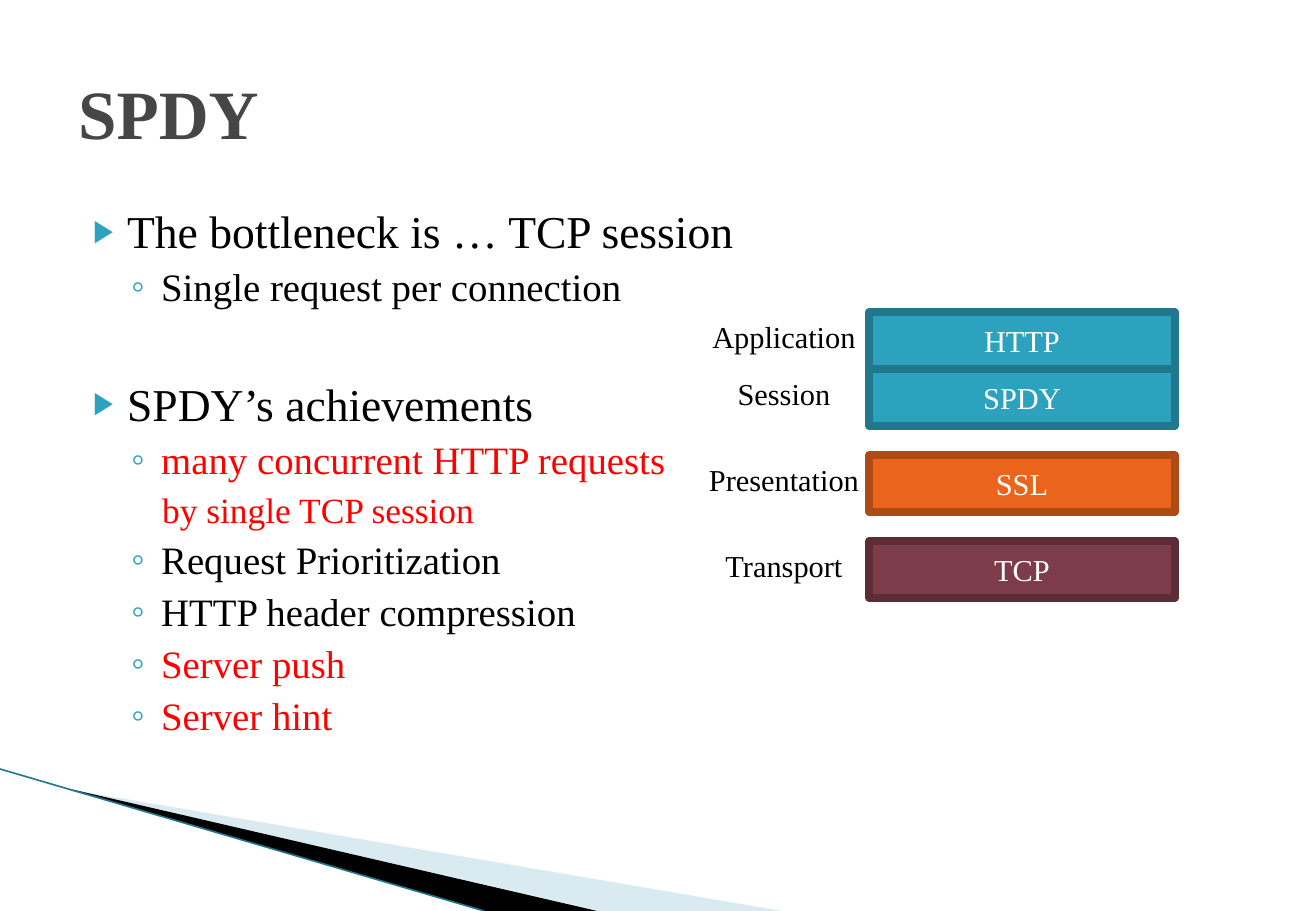
from lxml.etree import SubElement
from pptx import Presentation
from pptx.dml.color import RGBColor
from pptx.enum.shapes import MSO_CONNECTOR, MSO_SHAPE
from pptx.enum.text import MSO_ANCHOR, MSO_AUTO_SIZE, PP_ALIGN
from pptx.oxml.ns import qn
from pptx.util import Pt

PX = 7526  # EMU
FONT = "Times New Roman"
COLORS = {
    "title": "464646", "text": "000000", "accent": "FF0000", "white": "FFFFFF",
    "teal": "2DA2BF", "teal edge": "21788D",
    "orange": "EB641B", "orange edge": "AE4A14",
    "plum": "7D3C4A", "plum edge": "5C2C37",
    "pale": "A0CBDC", "black": "000000",
}

TITLE = "SPDY"
# text, level, colour, space before in points
POINTS = [
    ("The bottleneck is … TCP session", 0, "text", 0),
    ("Single request per connection", 1, "text", 3.2),
    ("SPDY’s achievements", 0, "text", 39),
    ("many concurrent HTTP requests", 1, "accent", 3.2),
    ("by single TCP session", 2, "accent", 3.5),
    ("Request Prioritization", 1, "text", 3.2),
    ("HTTP header compression", 1, "text", 3.2),
    ("Server push", 1, "accent", 3.2),
    ("Server hint", 1, "accent", 3.2),
]
# size in points, left margin and indent in px, bullet, bullet size in percent
LEVELS = [(27, 49, -34, "▶", 68), (23, 83, -30, "◦", 100), (21, 84, 0, None, 100)]
# layer, protocol, colour, gap above in px
LAYERS = [
    ("Application", "HTTP", "teal", 0),
    ("Session", "SPDY", "teal", 0),
    ("Presentation", "SSL", "orange", 29),
    ("Transport", "TCP", "plum", 29),
]
# outline in px, colour, opacity in percent
WEDGES = [
    ([(72, 790), (782, 911), (600, 911)], "pale", 40),
    ([(70, 789), (597, 911), (484, 911)], "black", 100),
]
EDGE_LINE = (0, 769, 484, 911)
STACK_LEFT, STACK_TOP, LAYER_WIDTH, LAYER_HEIGHT = 869, 312, 306, 57
LABEL_LEFT, LABEL_WIDTH, LABEL_HEIGHT = 696, 176, 49


def px(*lengths):
    return [length * PX for length in lengths]


def rgb(name):
    return RGBColor.from_string(COLORS[name])


def style(paragraph, size, color, align=PP_ALIGN.LEFT, bold=False):
    paragraph.alignment = align
    font = paragraph.runs[0].font
    font.name, font.size, font.bold = FONT, Pt(size), bold
    font.color.rgb = rgb(color)


def place(shape, left, top, width, height):
    shape.left, shape.top, shape.width, shape.height = px(left, top, width, height)


def set_bullet(paragraph, margin, indent, bullet, percent):
    properties = paragraph._p.get_or_add_pPr()
    properties.set("marL", str(margin * PX))
    properties.set("indent", str(indent * PX))
    if bullet is None:
        SubElement(properties, qn("a:buNone"))
        return
    color = SubElement(properties, qn("a:buClr"))
    SubElement(color, qn("a:srgbClr"), val=COLORS["teal"])
    SubElement(properties, qn("a:buSzPct"), val=str(percent * 1000))
    SubElement(properties, qn("a:buChar"), char=bullet)


def add_wedge(slide, points, color, opacity):
    builder = slide.shapes.build_freeform(*points[0], scale=PX)
    builder.add_line_segments(points[1:], close=True)
    wedge = builder.convert_to_shape()
    wedge.shadow.inherit = False
    wedge.fill.solid()
    wedge.fill.fore_color.rgb = rgb(color)
    wedge.line.fill.background()
    if opacity < 100:
        fill_color = wedge._element.spPr.find(".//" + qn("a:srgbClr"))
        SubElement(fill_color, qn("a:alpha"), val=str(opacity * 1000))


def add_layer(slide, label, protocol, color, top):
    box = slide.shapes.add_shape(
        MSO_SHAPE.RECTANGLE, *px(STACK_LEFT, top, LAYER_WIDTH, LAYER_HEIGHT))
    box.shadow.inherit = False
    box.fill.solid()
    box.fill.fore_color.rgb = rgb(color)
    box.line.color.rgb = rgb(color + " edge")
    box.line.width = Pt(4.33)
    box.text_frame.text = protocol
    box.text_frame.vertical_anchor = MSO_ANCHOR.MIDDLE
    style(box.text_frame.paragraphs[0], 18, "white", PP_ALIGN.CENTER)

    caption = slide.shapes.add_textbox(*px(LABEL_LEFT, top, LABEL_WIDTH, LABEL_HEIGHT))
    caption.text_frame.word_wrap = False
    caption.text_frame.text = label
    style(caption.text_frame.paragraphs[0], 18, "text", PP_ALIGN.CENTER)


def main():
    deck = Presentation()
    deck.slide_width, deck.slide_height = px(1316, 911)
    slide = deck.slides.add_slide(deck.slide_layouts[1])

    for wedge in WEDGES:
        add_wedge(slide, *wedge)
    edge = slide.shapes.add_connector(MSO_CONNECTOR.STRAIGHT, *px(*EDGE_LINE))
    edge.line.color.rgb = rgb("teal edge")
    edge.line.width = Pt(0.95)
    SubElement(edge._element.spPr, qn("a:effectLst"))

    title, body = slide.placeholders
    place(title, 66, 36, 1185, 152)
    title.text_frame.text = TITLE
    title.text_frame.vertical_anchor = MSO_ANCHOR.MIDDLE
    style(title.text_frame.paragraphs[0], 41, "title", bold=True)

    place(body, 66, 197, 1185, 601)
    frame = body.text_frame
    frame.text = "\n".join(point[0] for point in POINTS)
    frame.auto_size = MSO_AUTO_SIZE.NONE
    for paragraph, (_, level, color, space) in zip(frame.paragraphs, POINTS):
        size, *bullet = LEVELS[level]
        paragraph.level = level
        set_bullet(paragraph, *bullet)
        paragraph.space_before = Pt(space)
        style(paragraph, size, color)

    top = STACK_TOP
    for label, protocol, color, gap in LAYERS:
        top += gap
        add_layer(slide, label, protocol, color, top)
        top += LAYER_HEIGHT

    deck.save("out.pptx")


if __name__ == "__main__":
    main()
